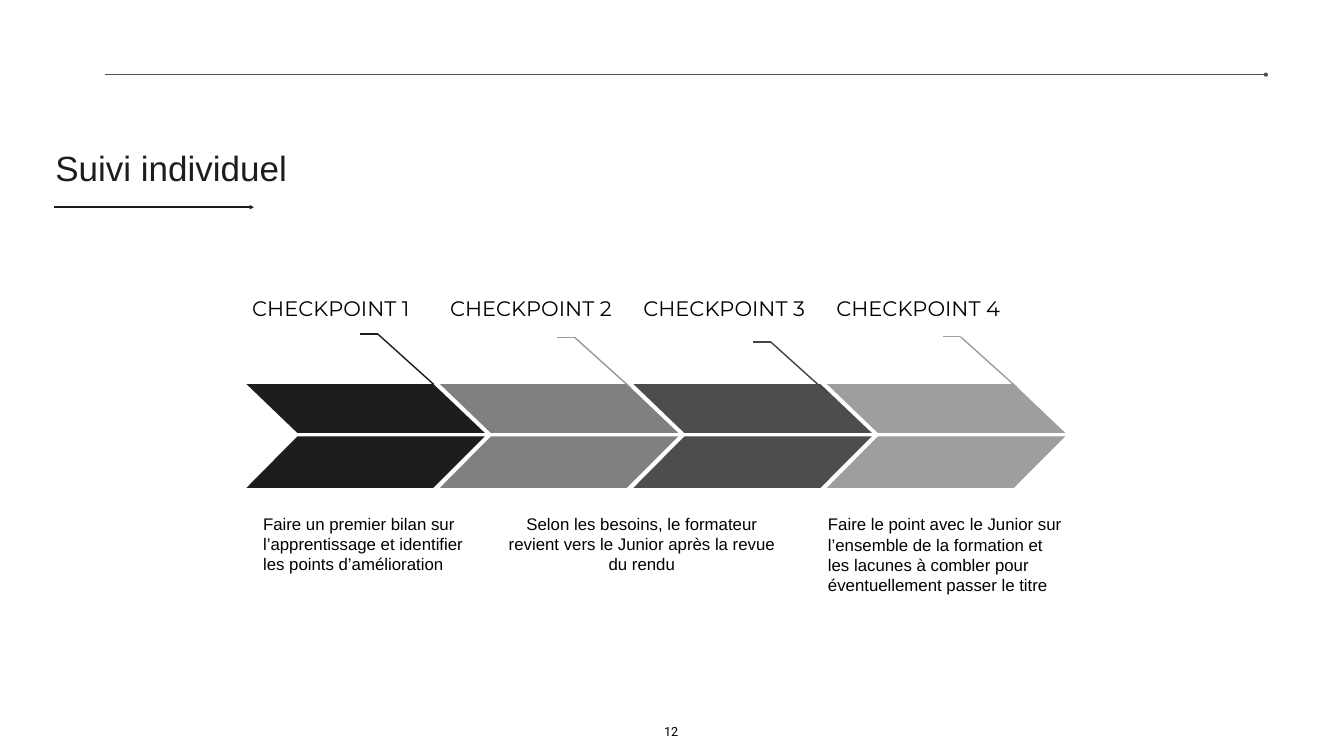
"""Build the "Suivi individuel" slide: four checkpoints on a chevron band."""
from lxml import etree
from pptx import Presentation
from pptx.dml.color import RGBColor
from pptx.enum.shapes import MSO_CONNECTOR
from pptx.enum.text import MSO_ANCHOR, PP_ALIGN
from pptx.oxml.ns import qn
from pptx.util import Inches, Pt

STRAIGHT = MSO_CONNECTOR.STRAIGHT
MIDDLE, BOTTOM = MSO_ANCHOR.MIDDLE, MSO_ANCHOR.BOTTOM
LEFT, CENTER = PP_ALIGN.LEFT, PP_ALIGN.CENTER
COLORS = {
    "black": "000000", "ink": "1D1D1B", "mid": "808080", "dark": "4D4D4D",
    "light": "9E9E9E", "ash": "999999", "coal": "434343",
}


def add_line(start, end, color, width=2, tail=None):
    """Draw a straight line, with an optional end mark."""
    line = slide.shapes.add_connector(STRAIGHT, *map(Inches, start + end))
    line.line.color.rgb = RGBColor.from_string(COLORS[color])
    line.line.width = Pt(width)
    if tail:
        etree.SubElement(line.line._ln, qn("a:tailEnd"), type=tail)
    etree.SubElement(line._element.spPr, qn("a:effectLst"))


def set_text(box, text, font, size, color="black", align=LEFT, inset=0.02, anchor=MIDDLE):
    """Fill a box with one formatted paragraph."""
    frame = box.text_frame
    frame.word_wrap = True
    frame.vertical_anchor = anchor
    frame.margin_left = frame.margin_right = Inches(inset)
    frame.margin_top = frame.margin_bottom = Inches(inset)
    para = frame.paragraphs[0]
    para.text = text
    para.alignment = align
    para.line_spacing = 1.0
    para.font.name = font
    para.font.size = Pt(size)
    para.font.color.rgb = RGBColor.from_string(COLORS[color])


prs = Presentation()
prs.slide_width, prs.slide_height = Inches(26.67), Inches(15)
slide = prs.slides.add_slide(prs.slide_layouts[5])

add_line((2.08, 1.48), (25.12, 1.48), "dark", 1, "oval")
add_line((1.08, 4.11), (5.04, 4.11), "ink", 2, "triangle")

title = slide.shapes.title
title.left, title.top = Inches(1.04), Inches(2.85)
title.width, title.height = Inches(11.18), Inches(0.95)
set_text(title, "Suivi individuel", "Arial", 50, "ink", inset=0.06)

page = slide.shapes.add_textbox(*map(Inches, (13.07, 14.31, 0.5, 0.42)))
set_text(page, "12", "Roboto", 18, align=CENTER, inset=0.06, anchor=BOTTOM)
page.text_frame.word_wrap = False

for step, color in enumerate(("ink", "mid", "dark", "light")):
    left = 4.89 + 3.84 * step
    for inner, outer in ((8.66, 9.68), (8.59, 7.62)):
        points = [(left + 1.01, inner), (left, outer), (left + 3.71, outer), (left + 4.73, inner)]
        points = [(Inches(x), Inches(y)) for x, y in points]
        pen = slide.shapes.build_freeform(*points[0])
        pen.add_line_segments(points[1:], close=True)
        half = pen.convert_to_shape()
        half.shadow.inherit = False
        half.fill.solid()
        half.fill.fore_color.rgb = RGBColor.from_string(COLORS[color])
        half.line.fill.background()

leaders = [
    (8.61, 7.63, "ink"), (12.52, 7.7, "ash"),
    (16.41, 7.79, "coal"), (20.17, 7.68, "light"),
]
for x, y, color in leaders:
    knee = (x - 1.11, y - 1)
    add_line((x, y), knee, color)
    add_line((x - 1.46, y - 1), knee, color)

labels = [(4.89, 3.35), (8.61, 3.85), (12.56, 3.62), (16.41, 3.62)]
for number, (left, width) in enumerate(labels, 1):
    box = slide.shapes.add_textbox(*map(Inches, (left, 5.84, width, 0.55)))
    set_text(box, f"CHECKPOINT {number}", "Montserrat", 30, align=CENTER)

notes = [
    (5.2, 4.25, 1.25, LEFT,
     "Faire un premier bilan sur l’apprentissage et identifier les points d’amélioration"),
    (9.98, 5.51, 1.25, CENTER,
     "Selon les besoins, le formateur revient vers le Junior après la revue du rendu"),
    (16.41, 4.73, 1.66, LEFT,
     "Faire le point avec le Junior sur l’ensemble de la formation et les lacunes "
     "à combler pour éventuellement passer le titre"),
]
for left, width, height, align, text in notes:
    box = slide.shapes.add_textbox(*map(Inches, (left, 10.17, width, height)))
    set_text(box, text, "Arial", 24, align=align)

prs.save("out.pptx")
